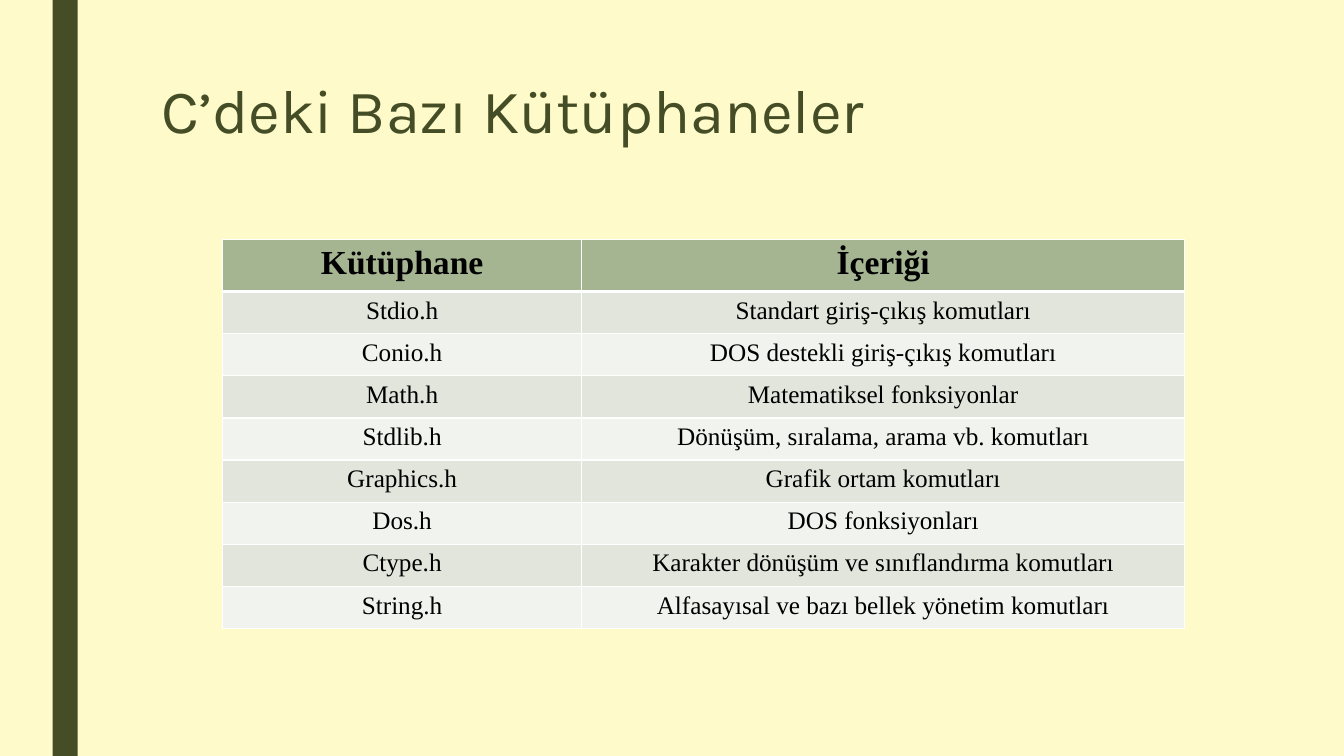
from lxml.etree import SubElement
from pptx import Presentation
from pptx.dml.color import RGBColor
from pptx.enum.shapes import MSO_SHAPE
from pptx.enum.text import MSO_ANCHOR, PP_ALIGN
from pptx.oxml.ns import qn
from pptx.util import Inches, Pt

COLORS = {
    "background": "FEFAC9",
    "olive": "444D26",
    "header": "A5B592",
    "odd_row": "E1E5DC",
    "even_row": "F0F3EE",
    "border": "FFFFFF",
    "text": "000000",
}
HEADER = ("Kütüphane", "İçeriği")
LIBRARIES = [
    ("Stdio.h", "Standart giriş-çıkış komutları"),
    ("Conio.h", "DOS destekli giriş-çıkış komutları"),
    ("Math.h", "Matematiksel fonksiyonlar"),
    ("Stdlib.h", "Dönüşüm, sıralama, arama vb. komutları"),
    ("Graphics.h", "Grafik ortam komutları"),
    ("Dos.h", "DOS fonksiyonları"),
    ("Ctype.h", "Karakter dönüşüm ve sınıflandırma komutları"),
    ("String.h", "Alfasayısal ve bazı bellek yönetim komutları"),
]


def color(name):
    return RGBColor.from_string(COLORS[name])


class LibrarySlide:
    """Holds the style and a slide divided into 160 columns and 90 rows."""

    unit = Inches(7.5) / 90
    title_font = "Karla"
    table_font = "Times New Roman"

    def __init__(self, presentation):
        presentation.slide_width = self.grid(160)
        presentation.slide_height = self.grid(90)
        self.slide = presentation.slides.add_slide(presentation.slide_layouts[5])
        background = self.slide.background.fill
        background.solid()
        background.fore_color.rgb = color("background")

    def grid(self, cells):
        return round(cells * self.unit)

    def bar(self, *box):
        shape = self.slide.shapes.add_shape(
            MSO_SHAPE.RECTANGLE, *map(self.grid, box))
        shape.shadow.inherit = False
        shape.fill.solid()
        shape.fill.fore_color.rgb = color("olive")
        shape.line.fill.background()

    def title(self, text, *box):
        title = self.slide.shapes.title
        title.left, title.top, title.width, title.height = map(self.grid, box)
        frame = title.text_frame
        frame.text = text
        frame.word_wrap = True
        frame.vertical_anchor = MSO_ANCHOR.TOP
        paragraph = frame.paragraphs[0]
        paragraph.alignment = PP_ALIGN.LEFT
        paragraph.line_spacing = 0.89
        self.font(paragraph, self.title_font, 44, "olive")

    def font(self, paragraph, name, size, color_name, bold=False):
        font = paragraph.font
        font.name, font.size, font.bold = name, Pt(size), bold
        font.color.rgb = color(color_name)

    def table(self, header, records, left, top, columns, header_row, body_row):
        heights = [header_row] + [body_row] * len(records)
        box = (left, top, sum(columns), sum(heights))
        table = self.slide.shapes.add_table(
            len(heights), len(columns), *map(self.grid, box)).table
        for column, width in zip(table.columns, columns):
            column.width = self.grid(width)
        for row, height in zip(table.rows, heights):
            row.height = self.grid(height)
        for index, record in enumerate([header, *records]):
            for cell, text in zip(table.rows[index].cells, record):
                self.cell(cell, text, index)

    def cell(self, cell, text, index):
        is_header = index == 0
        cell.text = text
        paragraph = cell.text_frame.paragraphs[0]
        paragraph.alignment = PP_ALIGN.CENTER
        self.font(paragraph, self.table_font, 24 if is_header else 18,
                  "text", is_header)
        # The header's lower border is shared with the first body row
        self.borders(cell, top=3 if index == 1 else 1,
                     bottom=3 if is_header else 1)
        cell.fill.solid()
        cell.fill.fore_color.rgb = color(
            "header" if is_header else "odd_row" if index % 2 else "even_row")

    def borders(self, cell, top, bottom):
        properties = cell._tc.get_or_add_tcPr()
        for side, width in (("L", 1), ("R", 1), ("T", top), ("B", bottom)):
            line = SubElement(properties, qn(f"a:ln{side}"), w=str(Pt(width)))
            fill = SubElement(line, qn("a:solidFill"))
            SubElement(fill, qn("a:srgbClr"), val=COLORS["border"])


def main():
    presentation = Presentation()
    page = LibrarySlide(presentation)

    # Side bar and title
    page.bar(6.25, 0, 3, 90)
    page.title("C’deki Bazı Kütüphaneler", 18, 9, 126, 19.5)

    # Table of libraries
    page.table(HEADER, LIBRARIES, left=26.5, top=28.5, columns=(42.75, 71.8),
               header_row=6.2, body_row=5.02)

    presentation.save("out.pptx")


if __name__ == "__main__":
    main()
